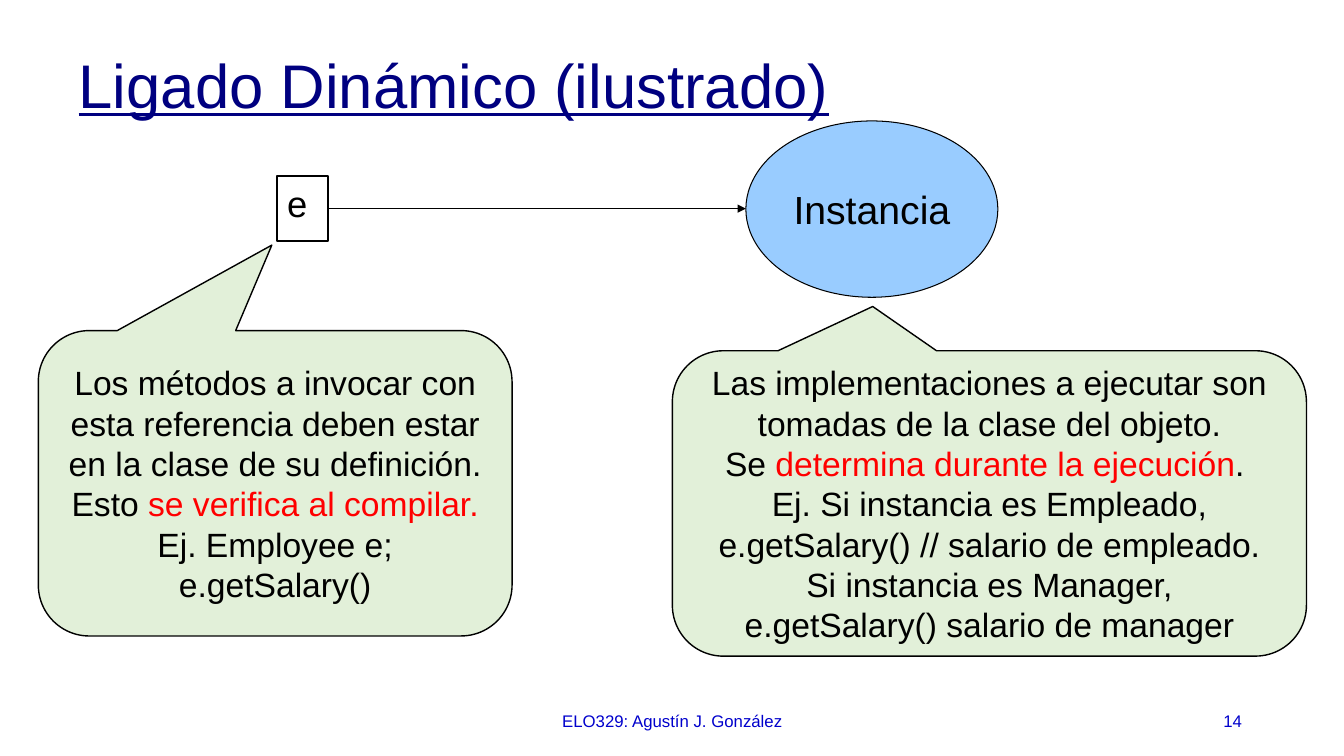
from dataclasses import dataclass

from lxml import etree
from pptx import Presentation
from pptx.dml.color import RGBColor
from pptx.enum.shapes import MSO_CONNECTOR, MSO_SHAPE
from pptx.enum.text import MSO_ANCHOR, MSO_AUTO_SIZE, PP_ALIGN
from pptx.oxml.ns import qn
from pptx.util import Inches, Pt

LEFT, CENTER, RIGHT = PP_ALIGN.LEFT, PP_ALIGN.CENTER, PP_ALIGN.RIGHT
TOP, MIDDLE = MSO_ANCHOR.TOP, MSO_ANCHOR.MIDDLE
RECT, OVAL = MSO_SHAPE.RECTANGLE, MSO_SHAPE.OVAL
CALLOUT = MSO_SHAPE.ROUNDED_RECTANGULAR_CALLOUT

FONT = "Arial"
BLACK, RED, NAVY, BLUE = "000000", "FF0000", "000080", "0000CC"
SKY, MINT = "99CCFF", "E2F0D9"
EMPHASIS = "*"  # encloses the red words
WIDTH, HEIGHT = Inches(13.33), Inches(7.5)


@dataclass(frozen=True)
class Box:
    """Left, top, width and height in percent of the slide."""
    x: float
    y: float
    w: float
    h: float

    def emu(self) -> tuple:
        return (across(self.x), down(self.y), across(self.w), down(self.h))


@dataclass(frozen=True)
class Figure:
    kind: int
    box: Box
    lines: tuple
    size: float
    outline: float
    fill: str = ""
    align: int = CENTER
    anchor: int = MIDDLE
    pointer: tuple = ()


@dataclass(frozen=True)
class FooterText:
    box: Box
    text: str
    align: int


def across(percent: float) -> int:
    return round(WIDTH * percent / 100)


def down(percent: float) -> int:
    return round(HEIGHT * percent / 100)


def color(code: str) -> RGBColor:
    return RGBColor.from_string(code)


def style(run, size: float, code: str) -> None:
    run.font.name = FONT
    run.font.size = Pt(size)
    run.font.color.rgb = color(code)


def write(frame, lines: tuple, size: float, code: str, align: int, anchor: int) -> None:
    frame.word_wrap = True
    frame.auto_size = MSO_AUTO_SIZE.NONE
    frame.vertical_anchor = anchor
    for number, line in enumerate(lines):
        paragraph = frame.add_paragraph() if number else frame.paragraphs[0]
        paragraph.alignment = align
        plain, *rest = line.split(EMPHASIS)
        paragraph.text = plain
        for run in paragraph.runs:
            style(run, size, code)
        for position, part in enumerate(rest):
            if part:
                run = paragraph.add_run()
                run.text = part
                style(run, size, code if position % 2 else RED)


def draw_figure(slide, figure: Figure) -> None:
    shape = slide.shapes.add_shape(figure.kind, *figure.box.emu())
    shape.shadow.inherit = False
    if figure.fill:
        shape.fill.solid()
        shape.fill.fore_color.rgb = color(figure.fill)
    else:
        shape.fill.background()
    shape.line.color.rgb = color(BLACK)
    shape.line.width = Pt(figure.outline)
    for index, value in enumerate(figure.pointer):
        shape.adjustments[index] = value
    write(shape.text_frame, figure.lines, figure.size, BLACK, figure.align, figure.anchor)


def draw_footer(slide, footer: FooterText) -> None:
    area = slide.shapes.add_textbox(*footer.box.emu())
    write(area.text_frame, (footer.text,), 12, BLUE, footer.align, MIDDLE)


def draw_arrow(slide, start: float, end: float, height: float) -> None:
    arrow = slide.shapes.add_connector(
        MSO_CONNECTOR.STRAIGHT, across(start), down(height), across(end), down(height))
    arrow.line.color.rgb = color(BLACK)
    arrow.line.width = Pt(0.75)
    etree.SubElement(arrow.line._get_or_add_ln(), qn("a:tailEnd"), type="triangle")
    etree.SubElement(arrow._element.spPr, qn("a:effectLst"))


REFERENCE = Box(20.63, 23.33, 3.75, 8.53)
INSTANCE = Box(55.5, 16, 18.75, 23.33)

FIGURES = (
    Figure(RECT, REFERENCE, ("e",), 26, 1.5, align=LEFT, anchor=TOP),
    Figure(OVAL, INSTANCE, ("Instancia",), 28, 0.75, SKY),
    Figure(CALLOUT, Box(2.85, 43.73, 35.25, 40.4), (
        "Los métodos a invocar con esta referencia deben estar en la clase de su definición.",
        "Esto *se verifica al compilar.*",
        "Ej. Employee e;",
        "e.getSalary()",
    ), 24, 1, MINT, pointer=(-0.007, -0.78, 0.167)),
    Figure(CALLOUT, Box(50.03, 46.4, 47.18, 40.4), (
        "Las implementaciones a ejecutar son tomadas de la clase del objeto.\v"
        "Se *determina durante la ejecución*. ",
        "Ej. Si instancia es Empleado,",
        "e.getSalary() // salario de empleado.",
        "Si instancia es Manager,",
        "e.getSalary() salario de manager",
    ), 24, 1, MINT, pointer=(-0.184, -0.645, 0.167)),
)

FOOTERS = (
    FooterText(Box(33.15, 92.67, 33.75, 5.33), "ELO329: Agustín J. González", CENTER),
    FooterText(Box(70.65, 92.67, 22.5, 5.33), "14", RIGHT),
)

deck = Presentation()
deck.slide_width, deck.slide_height = WIDTH, HEIGHT
slide = deck.slides.add_slide(deck.slide_layouts.get_by_name("Title Only"))

# Title
title = slide.shapes.title
title.left, title.top, title.width, title.height = Box(5.1, 5.33, 90.6, 12.67).emu()
write(title.text_frame, ("Ligado Dinámico (ilustrado)",), 44, NAVY, LEFT, MIDDLE)
heading = title.text_frame.paragraphs[0]
heading.line_spacing = 0.9
heading.runs[0].font.underline = True

# Footer and page number
for footer in FOOTERS:
    draw_footer(slide, footer)

# Reference, instance and their explanations
draw_arrow(slide, REFERENCE.x + REFERENCE.w, INSTANCE.x, REFERENCE.y + REFERENCE.h / 2)
for figure in FIGURES:
    draw_figure(slide, figure)

deck.save("out.pptx")
